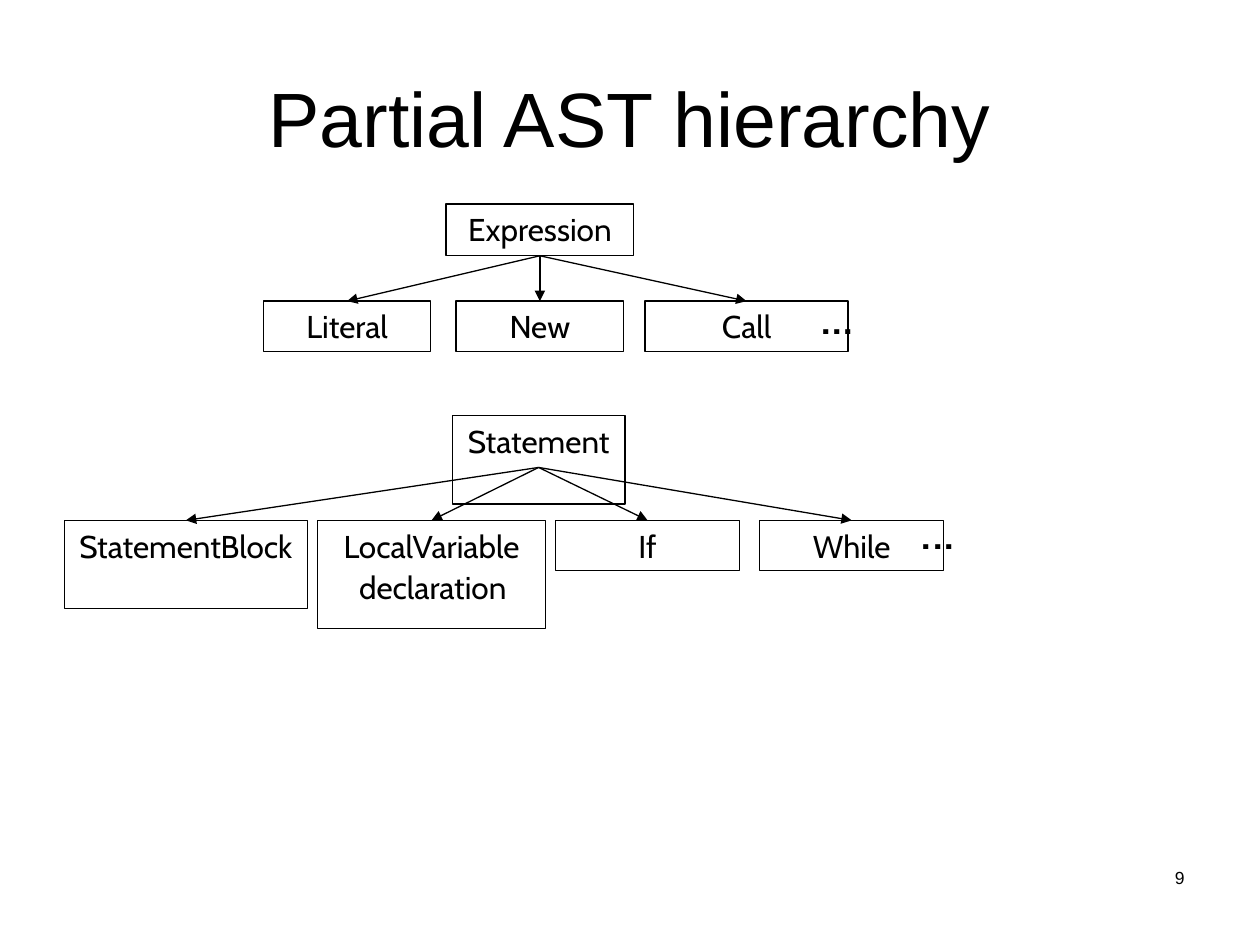
from collections import namedtuple

from lxml.etree import SubElement
from pptx import Presentation
from pptx.dml.color import RGBColor
from pptx.enum.shapes import MSO_CONNECTOR as Connector, MSO_SHAPE as Shape
from pptx.enum.text import MSO_ANCHOR as Anchor, PP_ALIGN as Align
from pptx.oxml.ns import qn
from pptx.util import Inches, Pt

BLACK = RGBColor(0, 0, 0)
WHITE = RGBColor(255, 255, 255)
UNIT = Inches(0.1)
COLUMNS, ROWS = 100, 75
NODE_ROWS = 4.1
Box = namedtuple("Box", "left top width height")
Node = namedtuple("Node", "label left width height")


def grid(box):
    return [round(length * UNIT) for length in box]


def write(shape, text, size=18, font="Cabin", align=Align.CENTER,
          anchor=Anchor.TOP, spacing=None):
    frame = shape.text_frame
    frame.word_wrap = True
    frame.vertical_anchor = anchor
    para = frame.paragraphs[0]
    para.alignment = align
    para.line_spacing = spacing
    span = para.add_run()
    span.text = text
    span.font.name = font
    span.font.size = Pt(size)
    span.font.color.rgb = BLACK


def add_label(page, box, text, **style):
    write(page.shapes.add_textbox(*grid(box)), text, **style)


def add_node(page, box, label):
    shape = page.shapes.add_shape(Shape.RECTANGLE, *grid(box))
    shape.shadow.inherit = False
    shape.fill.background()
    shape.line.color.rgb = BLACK
    shape.line.width = Pt(0.75)
    write(shape, label)
    return shape


def add_arrow(page, parent, child):
    start_x = parent.left + parent.width // 2
    start_y = parent.top + round(NODE_ROWS * UNIT)
    arrow = page.shapes.add_connector(
        Connector.STRAIGHT, start_x, start_y, child.left + child.width // 2, child.top)
    if start_y >= parent.top + parent.height:
        arrow.begin_connect(parent, 2)
    arrow.end_connect(child, 0)
    arrow.line.color.rgb = BLACK
    arrow.line.width = Pt(0.75)
    SubElement(arrow.line._get_or_add_ln(), qn("a:tailEnd"), type="triangle")
    SubElement(arrow._element.spPr, qn("a:effectLst"))


def add_tree(page, box, root, children, child_row, more):
    def place(node, row):
        return add_node(page, Box(box.left + node.left, box.top + row,
                                  node.width, node.height), node.label)

    parent = place(root, 0)
    for node in children:
        add_arrow(page, parent, place(node, child_row))
    add_label(page, Box(box.left + more[0], box.top + more[1], 13.1, 6.4),
              "...", size=32, align=Align.LEFT)


def add_title(page, box, text):
    title = page.shapes.title
    title.left, title.top, title.width, title.height = grid(box)
    write(title, text, size=44, font="Arial", anchor=Anchor.MIDDLE)


def add_expression_tree(page, box):
    add_tree(page, box, Node("Expression", 14.5, 14.9, NODE_ROWS), [
        Node("Literal", 0, 13.3, 4),
        Node("New", 15.3, 13.3, 4),
        Node("Call", 30.3, 16.1, 4),
    ], child_row=7.7, more=(43.2, 5.4))


def add_statement_tree(page, box):
    add_tree(page, box, Node("Statement", 30.8, 13.7, 7), [
        Node("StatementBlock", 0, 19.3, 7),
        Node("LocalVariable", 20.1, 18.1, 8.6),
        Node("If", 39, 14.6, 4),
        Node("While", 55.2, 14.6, 4),
    ], child_row=8.3, more=(67, 5.7))
    add_label(page, Box(box.left + 17.9, box.top + 11.9, 22.7, 3.7),
              "declaration", spacing=0.9)


def main():
    deck = Presentation()
    deck.slide_width, deck.slide_height = COLUMNS * UNIT, ROWS * UNIT
    page = deck.slides.add_slide(deck.slide_layouts[5])
    page.background.fill.solid()
    page.background.fill.fore_color.rgb = WHITE
    add_title(page, Box(5, 3, 90, 12.5), "Partial AST hierarchy")
    add_expression_tree(page, Box(20.9, 16.2, 46.4, 11.7))
    add_statement_tree(page, Box(5.1, 33, 69.8, 16.9))
    add_label(page, Box(71.7, 68.3, 23.3, 5), "9", size=10, font="Arial",
              align=Align.RIGHT)
    deck.save("out.pptx")


if __name__ == "__main__":
    main()
